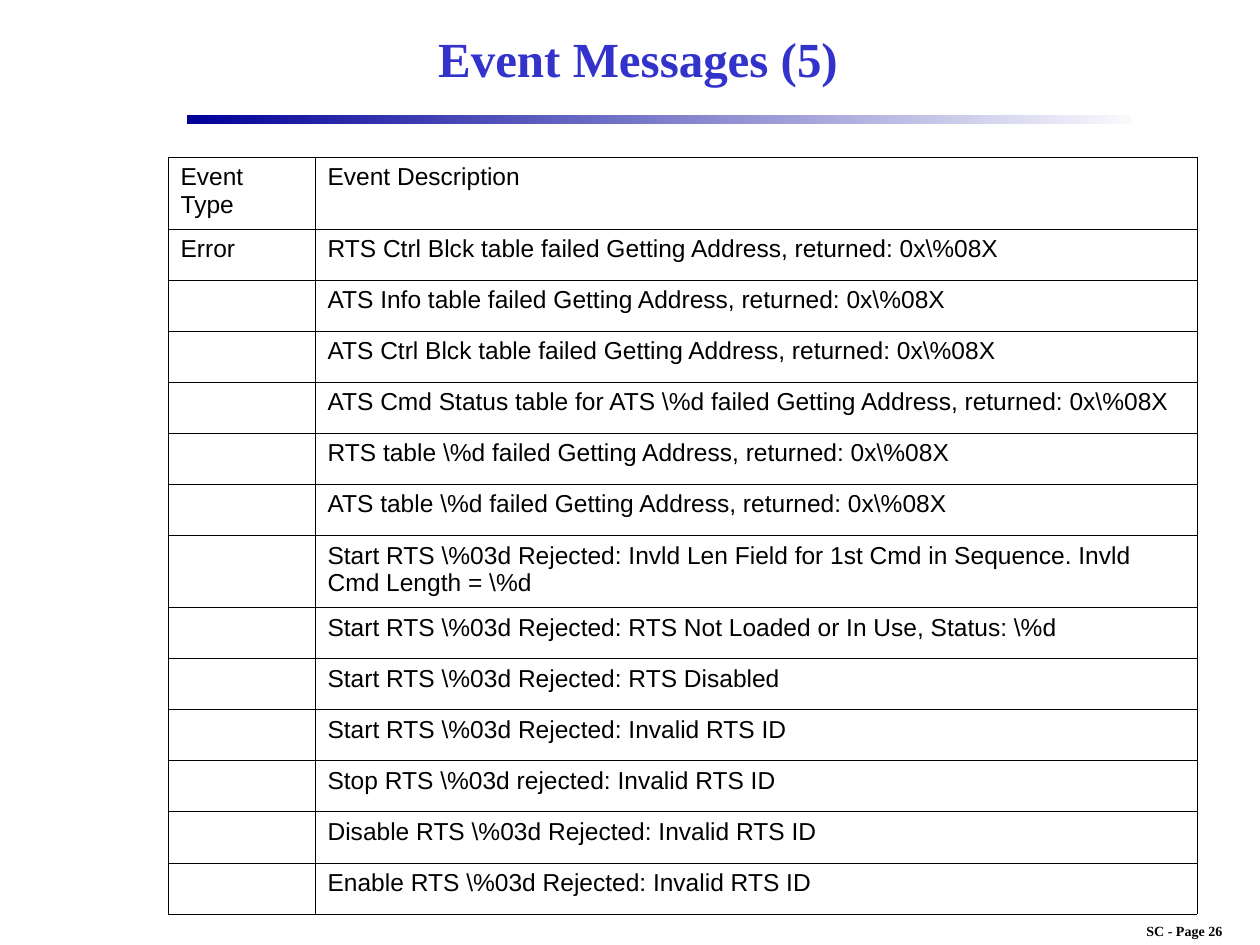
from lxml import etree
from pptx import Presentation
from pptx.dml.color import RGBColor
from pptx.enum.shapes import MSO_SHAPE
from pptx.enum.text import MSO_ANCHOR, PP_ALIGN
from pptx.oxml.ns import qn
from pptx.util import Inches, Pt

SCALE = Inches(1) // 126
RECTANGLE = MSO_SHAPE.RECTANGLE
MIDDLE = MSO_ANCHOR.MIDDLE
CENTER, LEFT = PP_ALIGN.CENTER, PP_ALIGN.LEFT

BLACK = RGBColor(0x00, 0x00, 0x00)
TITLE_BLUE = RGBColor(0x33, 0x33, 0xCC)
RULE_DARK = RGBColor(0x00, 0x00, 0x99)
RULE_LIGHT = RGBColor(0xF9, 0xF9, 0xFD)

TITLE_FONT = {"name": "Times New Roman", "size": Pt(28), "bold": True}
FOOTER_FONT = {"name": "Times New Roman", "size": Pt(8), "bold": True}
CELL_FONT = {"name": "Arial", "size": Pt(14), "bold": False}

BORDER_WIDTH = Pt(0.45)
COLUMN_WIDTHS = [147, 882]
ROW_HEIGHT, TALL_ROW_HEIGHT = 51, 72
TALL_ROWS = {0, 7}
EVENTS = [
    r"RTS Ctrl Blck table failed Getting Address, returned: 0x\%08X",
    r"ATS Info table failed Getting Address, returned: 0x\%08X",
    r"ATS Ctrl Blck table failed Getting Address, returned: 0x\%08X",
    r"ATS Cmd Status table for ATS \%d failed Getting Address, returned: 0x\%08X",
    r"RTS table \%d failed Getting Address, returned: 0x\%08X",
    r"ATS table \%d failed Getting Address, returned: 0x\%08X",
    r"Start RTS \%03d Rejected: Invld Len Field for 1st Cmd in Sequence. "
    r"Invld Cmd Length = \%d",
    r"Start RTS \%03d Rejected: RTS Not Loaded or In Use, Status: \%d",
    r"Start RTS \%03d Rejected: RTS Disabled",
    r"Start RTS \%03d Rejected: Invalid RTS ID",
    r"Stop RTS \%03d rejected: Invalid RTS ID",
    r"Disable RTS \%03d Rejected: Invalid RTS ID",
    r"Enable RTS \%03d Rejected: Invalid RTS ID",
]


def emu(pixels):
    return [pixel * SCALE for pixel in pixels]


def write(frame, text, font, color, align):
    para = frame.paragraphs[0]
    para.alignment = align
    span = para.add_run()
    span.text = text
    for key, value in font.items():
        setattr(span.font, key, value)
    span.font.color.rgb = color


def add_title(page, box, text):
    title = page.shapes.title
    title.left, title.top, title.width, title.height = emu(box)
    title.text_frame.vertical_anchor = MIDDLE
    write(title.text_frame, text, TITLE_FONT, TITLE_BLUE, CENTER)


def add_rule(page, box):
    rule = page.shapes.add_shape(RECTANGLE, *emu(box))
    rule.shadow.inherit = False
    rule.line.fill.background()
    rule.fill.gradient()
    rule.fill.gradient_angle = 0
    for stop, color in zip(rule.fill.gradient_stops, (RULE_DARK, RULE_LIGHT)):
        stop.color.rgb = color


def add_borders(cell):
    properties = cell._tc.get_or_add_tcPr()
    for side in ("a:lnL", "a:lnR", "a:lnT", "a:lnB"):
        line = etree.SubElement(properties, qn(side), w=str(BORDER_WIDTH))
        fill = etree.SubElement(line, qn("a:solidFill"))
        etree.SubElement(fill, qn("a:srgbClr"), val=str(BLACK))


def add_event_table(page, corner, rows):
    heights = [TALL_ROW_HEIGHT if index in TALL_ROWS else ROW_HEIGHT
               for index in range(len(rows))]
    box = (*corner, sum(COLUMN_WIDTHS), sum(heights))
    table = page.shapes.add_table(len(rows), len(COLUMN_WIDTHS), *emu(box)).table
    table.first_row = table.horz_banding = False
    for column, width in zip(table.columns, emu(COLUMN_WIDTHS)):
        column.width = width
    for row, height, texts in zip(table.rows, emu(heights), rows):
        row.height = height
        for cell, text in zip(row.cells, texts):
            add_borders(cell)
            cell.fill.background()
            if text:
                write(cell.text_frame, text, CELL_FONT, BLACK, LEFT)


def add_footer(page, box, text):
    footer = page.shapes.add_textbox(*emu(box))
    footer.text_frame.word_wrap = False
    write(footer.text_frame, text, FOOTER_FONT, BLACK, CENTER)


deck = Presentation()
deck.slide_width, deck.slide_height = Inches(10), Inches(7.5)
page = deck.slides.add_slide(deck.slide_layouts[5])

# Heading
add_rule(page, (187, 115, 944, 9))
add_title(page, (193, 10, 890, 95), "Event Messages (5)")

# Event list: the type shows only beside the first event
event_rows = [("Event Type", "Event Description")]
event_rows += [("" if index else "Error", event) for index, event in enumerate(EVENTS)]
add_event_table(page, (168, 157), event_rows)

# Page number
add_footer(page, (1109, 916, 151, 29), "SC - Page 26")

deck.save("out.pptx")
